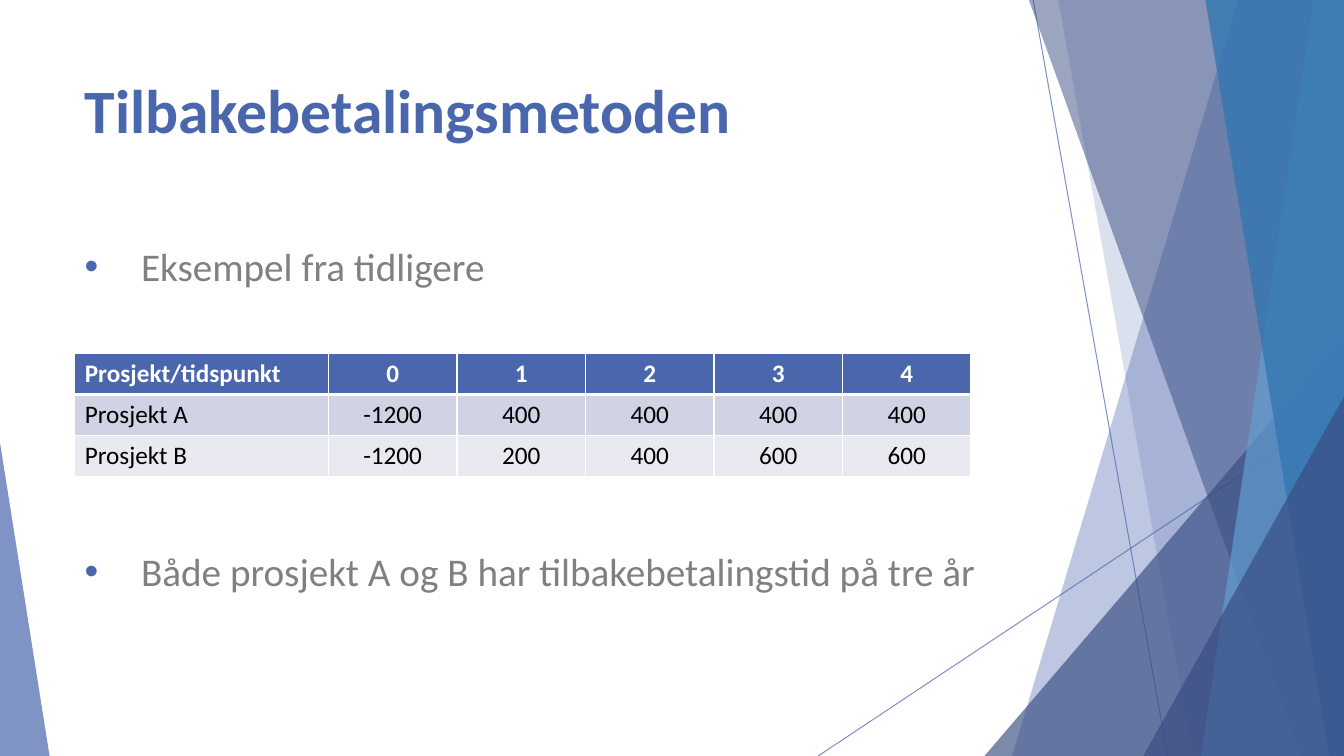
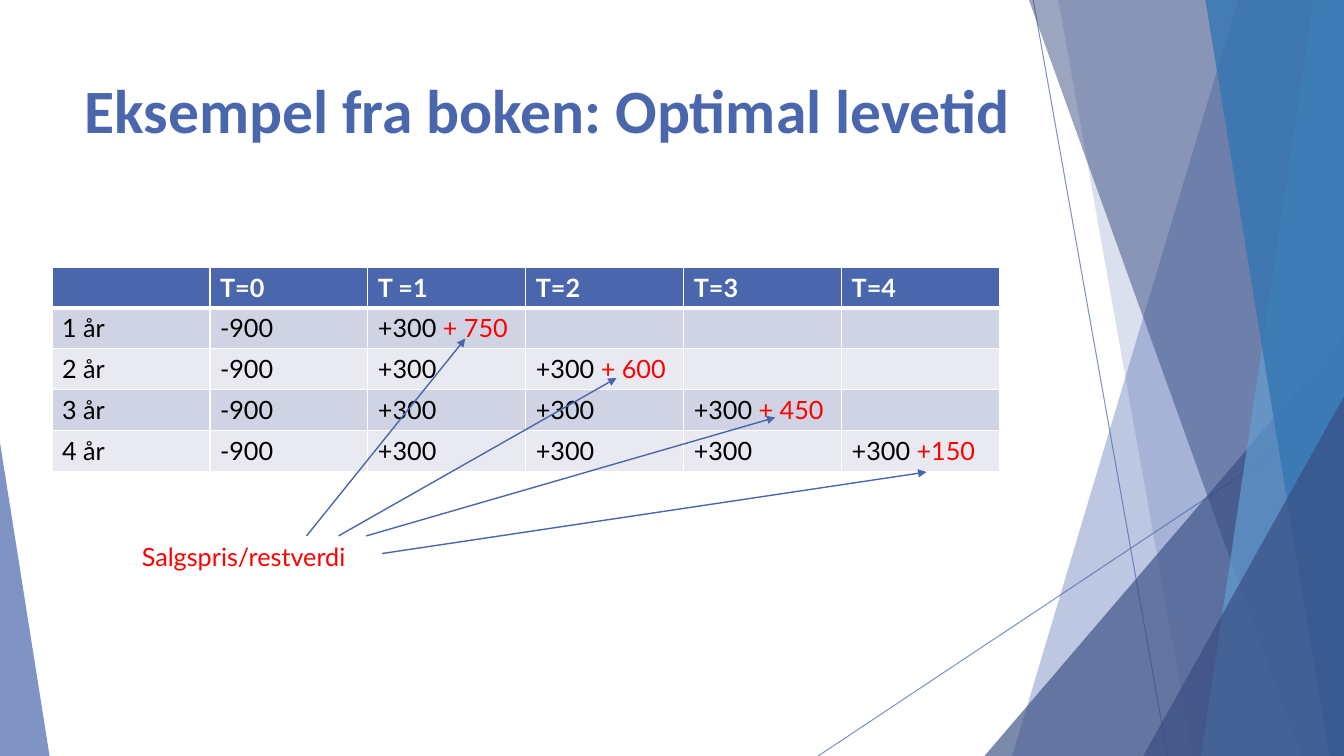
from dataclasses import dataclass
from typing import NamedTuple, Sequence, Union

from pptx import Presentation
from pptx.dml.color import RGBColor
from pptx.enum.shapes import MSO_CONNECTOR, MSO_SHAPE
from pptx.enum.text import PP_ALIGN
from pptx.oxml.ns import qn
from pptx.util import Emu, Pt
from lxml.etree import SubElement

# Grid: 160 columns by 90 rows of square units
COLUMNS, ROWS = 160, 90
UNIT = 76200

BLUE = RGBColor(0x4A, 0x66, 0xAC)
NAVY = RGBColor(0x38, 0x4C, 0x81)
SKY = RGBColor(0x62, 0x9D, 0xD1)
OCEAN = RGBColor(0x34, 0x77, 0xB2)
GREY = RGBColor(0x80, 0x80, 0x80)
RED = RGBColor(0xFF, 0x00, 0x00)
BLACK = RGBColor(0x00, 0x00, 0x00)
WHITE = RGBColor(0xFF, 0xFF, 0xFF)
ROW_TINTS = (RGBColor(0xD0, 0xD3, 0xE3), RGBColor(0xE9, 0xEA, 0xF1))

HEADING_FONT, DETAIL_FONT = "Calibri", "Lato"
LEFT_MARGIN, TEXT_WIDTH = 8.9, 112.8
TABLE_ROW = 4.87
BULLET_INDENT = 6.72


class Point(NamedTuple):
    x: float
    y: float


class Run(NamedTuple):
    text: str
    color: RGBColor


CellText = Union[str, Sequence[Run]]


@dataclass(frozen=True)
class Band:
    """Runs from a slanted left edge to the right side of the slide."""
    top_x: float
    bottom_x: float
    color: RGBColor
    opacity: int


@dataclass(frozen=True)
class Wedge:
    """Right triangle that stands on the bottom of the slide."""
    left: float
    top: float
    width: float
    apex: int
    color: RGBColor
    opacity: int


@dataclass(frozen=True)
class Ray:
    start: Point
    end: Point


BACKDROP_RAYS = (
    Ray(Point(123, 0), Point(139, ROWS)),
    Ray(Point(COLUMNS, 48.4), Point(97.4, ROWS)),
)
BACKDROP_FACETS = (
    Band(147.4, 120.5, BLUE, 36),
    Band(126, 142, BLUE, 20),
    Wedge(117.2, 40, 42.8, 1, NAVY, 66),
    Band(122.5, 154.9, NAVY, 50),
    Band(156.4, 143, SKY, 70),
    Band(143.5, 158.2, OCEAN, 80),
    Wedge(136.1, 47.2, 23.9, 1, NAVY, 66),
    Wedge(0, 52.7, 5.9, 0, BLUE, 70),
)


def grid(units: float) -> Emu:
    return Emu(round(units * UNIT))


def set_opacity(shape, percent: int) -> None:
    color = next(shape.element.spPr.iter(qn("a:srgbClr")))
    SubElement(color, qn("a:alpha"), val=str(percent * 1000))


def write(paragraph, content: CellText, *, size: float, font: str,
          color: RGBColor, bold: bool = False, align=PP_ALIGN.LEFT) -> None:
    """Add text, or runs with colours of their own, to a paragraph."""
    paragraph.alignment = align
    runs = [Run(content, color)] if isinstance(content, str) else content
    for part in runs:
        run = paragraph.add_run()
        run.text = part.text
        run.font.size = Pt(size)
        run.font.name = font
        run.font.bold = bold
        run.font.color.rgb = part.color


def add_text_frame(slide, left: float, top: float, width: float, height: float):
    frame = slide.shapes.add_textbox(
        grid(left), grid(top), grid(width), grid(height)).text_frame
    frame.word_wrap = True
    return frame


def add_ray(slide, ray: Ray, *, width: float, opacity: int = 100,
            arrow: bool = False) -> None:
    line = slide.shapes.add_connector(
        MSO_CONNECTOR.STRAIGHT, grid(ray.start.x), grid(ray.start.y),
        grid(ray.end.x), grid(ray.end.y))
    line.line.color.rgb = BLUE
    line.line.width = Pt(width)
    if opacity < 100:
        set_opacity(line, opacity)
    if arrow:
        SubElement(line.line._get_or_add_ln(), qn("a:tailEnd"), type="triangle")
    SubElement(line.element.spPr, qn("a:effectLst"))


def add_facet(slide, facet: Union[Band, Wedge]) -> None:
    if isinstance(facet, Band):
        outline = slide.shapes.build_freeform(grid(facet.top_x), 0)
        outline.add_line_segments(
            [(grid(COLUMNS), 0), (grid(COLUMNS), grid(ROWS)),
             (grid(facet.bottom_x), grid(ROWS))], close=True)
        shape = outline.convert_to_shape()
    else:
        shape = slide.shapes.add_shape(
            MSO_SHAPE.ISOSCELES_TRIANGLE, grid(facet.left), grid(facet.top),
            grid(facet.width), grid(ROWS - facet.top))
        shape.adjustments[0] = facet.apex
    shape.shadow.inherit = False
    shape.fill.solid()
    shape.fill.fore_color.rgb = facet.color
    shape.line.fill.background()
    set_opacity(shape, facet.opacity)


def add_titled_slide(deck, title: str):
    """Blank slide with the shared backdrop and title style."""
    slide = deck.slides.add_slide(deck.slide_layouts[6])
    for ray in BACKDROP_RAYS:
        add_ray(slide, ray, width=0.75, opacity=70)
    for facet in BACKDROP_FACETS:
        add_facet(slide, facet)
    frame = add_text_frame(slide, LEFT_MARGIN, 8, TEXT_WIDTH, 17.3)
    write(frame.paragraphs[0], title, size=44, font=HEADING_FONT,
          color=BLUE, bold=True)
    return slide


def add_bullet(paragraph) -> None:
    properties = paragraph._p.get_or_add_pPr()
    properties.set("marL", str(grid(BULLET_INDENT)))
    properties.set("indent", str(-grid(BULLET_INDENT)))
    color = SubElement(properties, qn("a:buClr"))
    SubElement(color, qn("a:srgbClr"), val=str(BLUE))
    SubElement(properties, qn("a:buFont"), typeface="Arial")
    SubElement(properties, qn("a:buChar"), char="•")


def set_borders(cell, *, top: float, bottom: float) -> None:
    properties = cell._tc.get_or_add_tcPr()
    widths = {"a:lnL": 1, "a:lnR": 1, "a:lnT": top, "a:lnB": bottom}
    for tag, width in widths.items():
        border = SubElement(properties, qn(tag), w=str(Pt(width)))
        SubElement(SubElement(border, qn("a:solidFill")),
                   qn("a:srgbClr"), val=str(WHITE))


def add_grid_table(slide, left: float, top: float, columns: Sequence[float],
                   rows: Sequence[Sequence[CellText]], *, font: str,
                   value_align=PP_ALIGN.LEFT) -> None:
    table = slide.shapes.add_table(
        len(rows), len(columns), grid(left), grid(top),
        grid(sum(columns)), grid(TABLE_ROW * len(rows))).table
    table.horz_banding = False
    for column, width in zip(table.columns, columns):
        column.width = grid(width)
    for r, row in enumerate(rows):
        table.rows[r].height = grid(TABLE_ROW)
        header = r == 0
        for c, content in enumerate(row):
            cell = table.cell(r, c)
            set_borders(cell, top=3 if r == 1 else 1, bottom=3 if header else 1)
            cell.fill.solid()
            cell.fill.fore_color.rgb = BLUE if header else ROW_TINTS[(r - 1) % 2]
            if content:
                write(cell.text_frame.paragraphs[0], content, size=18, font=font,
                      color=WHITE if header else BLACK, bold=header,
                      align=value_align if c else PP_ALIGN.LEFT)


def build_payback_slide(deck) -> None:
    slide = add_titled_slide(deck, "Tilbakebetalingsmetoden")

    # Points above and below the table
    frame = add_text_frame(slide, LEFT_MARGIN, 28.3, TEXT_WIDTH, 50.9)
    points = (
        ("Eksempel fra tidligere", 0),
        ("Både prosjekt A og B har tilbakebetalingstid på tre år", 184),
    )
    for i, (point, space_before) in enumerate(points):
        paragraph = frame.add_paragraph() if i else frame.paragraphs[0]
        paragraph.space_before = Pt(space_before)
        add_bullet(paragraph)
        write(paragraph, point, size=28, font=HEADING_FONT, color=GREY)

    # Cash flows
    cash_flows = (
        ("Prosjekt/tidspunkt", "0", "1", "2", "3", "4"),
        ("Prosjekt A", "-1200", "400", "400", "400", "400"),
        ("Prosjekt B", "-1200", "200", "400", "600", "600"),
    )
    add_grid_table(slide, LEFT_MARGIN, 42.1, [30.2] + [15.3] * 5, cash_flows,
                   font=HEADING_FONT, value_align=PP_ALIGN.CENTER)


def build_lifetime_slide(deck) -> None:
    slide = add_titled_slide(deck, "Eksempel fra boken: Optimal levetid")

    # Each lifetime ends with a resale value in its last year
    resale_values = ("+ 750", "+ 600", "+ 450", "+150")
    lifetimes = [["", "T=0", "T =1", "T=2", "T=3", "T=4"]]
    for years, resale in enumerate(resale_values, start=1):
        final_year = (Run("+300 ", BLACK), Run(resale, RED))
        lifetimes.append([f"{years} år", "-900", *["+300"] * (years - 1),
                          final_year, *[""] * (len(resale_values) - years)])
    add_grid_table(slide, 6.2, 31.8, [18.8] * 6, lifetimes, font=DETAIL_FONT)

    # Label and arrows to the resale values
    label = add_text_frame(slide, 15.7, 63.8, 27.7, 4.8)
    write(label.paragraphs[0], "Salgspris/restverdi", size=18,
          font=DETAIL_FONT, color=RED)
    resale_arrows = (
        Ray(Point(36.5, 63.8), Point(55.4, 40.3)),
        Ray(Point(40.3, 63.8), Point(73.4, 45)),
        Ray(Point(43.6, 63.8), Point(92.3, 49.7)),
        Ray(Point(45.5, 65.9), Point(110.3, 56.2)),
    )
    for arrow in resale_arrows:
        add_ray(slide, arrow, width=1, arrow=True)


def main() -> None:
    deck = Presentation()
    deck.slide_width, deck.slide_height = grid(COLUMNS), grid(ROWS)
    build_payback_slide(deck)
    build_lifetime_slide(deck)
    deck.save("out.pptx")


if __name__ == "__main__":
    main()
